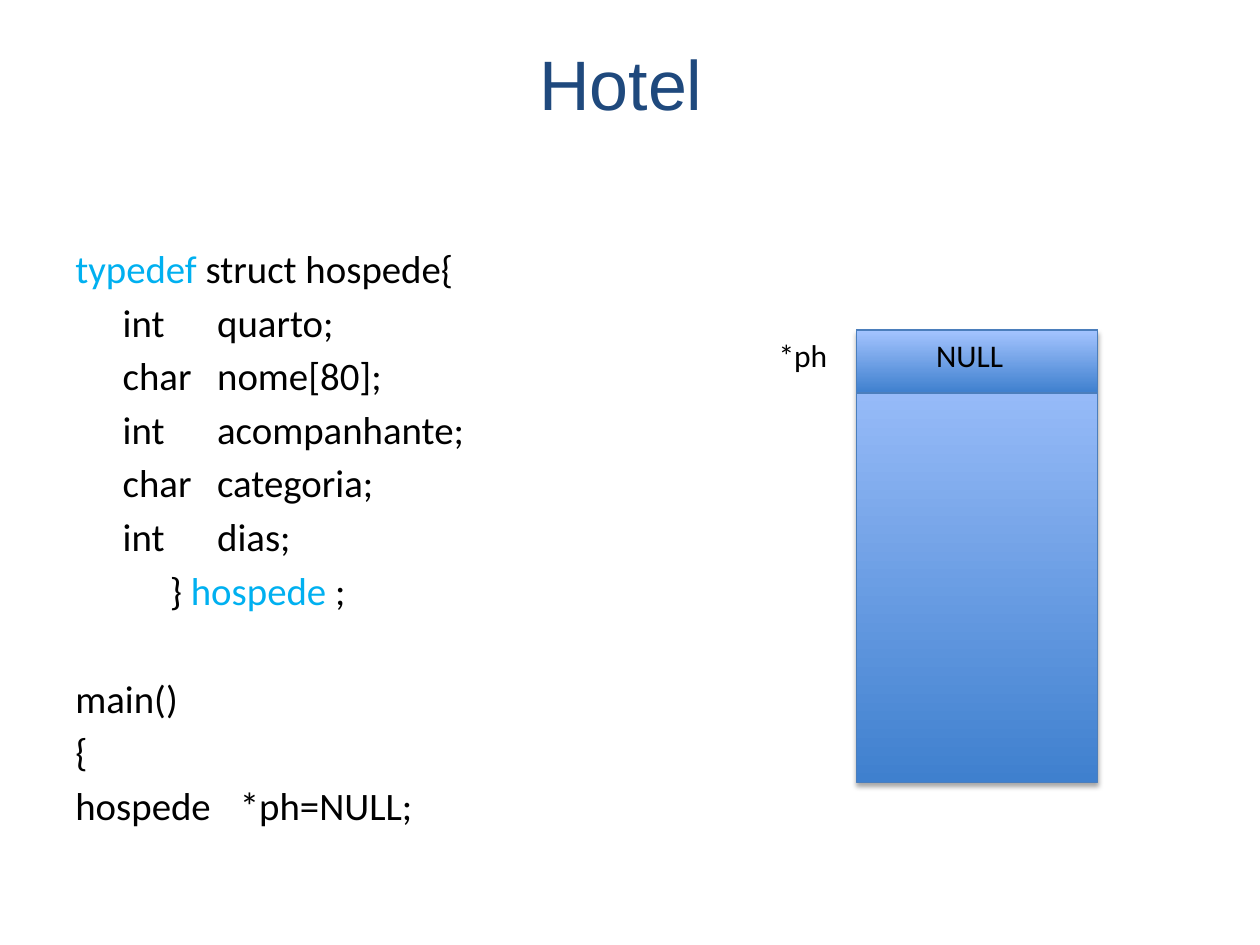
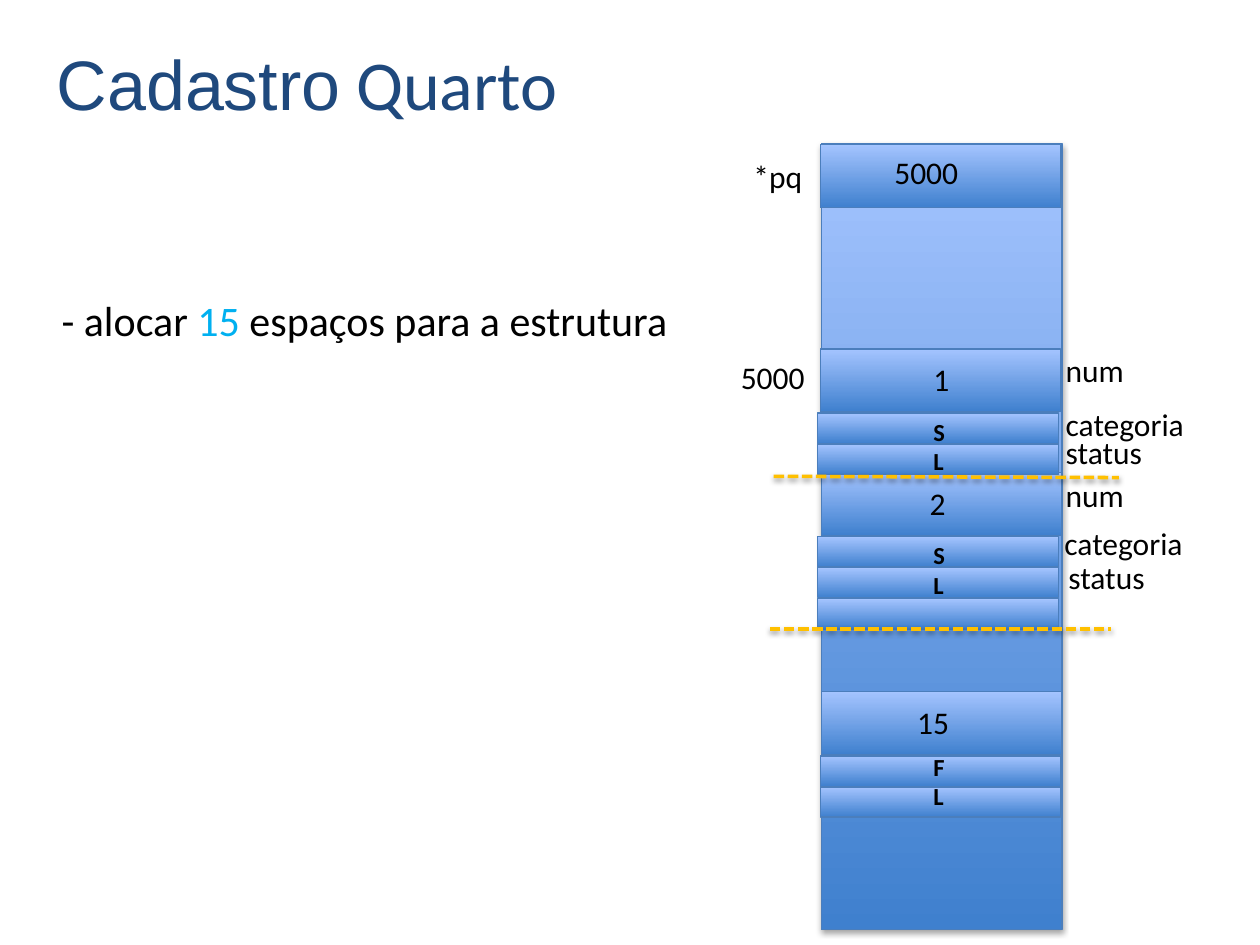
from lxml import etree
from pptx import Presentation
from pptx.dml.color import RGBColor
from pptx.enum.dml import MSO_LINE
from pptx.enum.shapes import MSO_CONNECTOR, MSO_SHAPE
from pptx.enum.text import MSO_ANCHOR, PP_ALIGN
from pptx.oxml.ns import qn
from pptx.util import Pt

LEFT, CENTER, MIDDLE = PP_ALIGN.LEFT, PP_ALIGN.CENTER, MSO_ANCHOR.MIDDLE
RECT, STRAIGHT, DASH = MSO_SHAPE.RECTANGLE, MSO_CONNECTOR.STRAIGHT, MSO_LINE.SQUARE_DOT

BLACK, CYAN, NAVY, AMBER = "000000", "00B0F0", "1F497D", "FFC000"
CELL_DARK, CELL_LIGHT, CELL_EDGE = "3F80CE", "A4C4FF", "4B7EBC"

TITLE_BOX = (25.2, 2.2, 670.3, 90)
TITLE = {"size": 40, "name": "Arial", "color": NAVY}
CODE = {"size": 22.2}
BULLET = {"size": 24}
LABEL = {"size": 18}
FLAG = {"size": 14, "bold": True}
ACCENT = {"color": CYAN}

CELL_W, TALL_H, THIN_H = 137.5, 36, 17.3
THIN_START, THIN_STEP = 36.7, 17.7
LABEL_H, FLAGS_H, FLAGS_X = 28.8, 41, 526.3

FIELD_STOPS = (27, 81)
FIELDS = [("int", "quarto"), ("char", "nome[80]"), ("int", "acompanhante"),
          ("char", "categoria"), ("int", "dias")]
CODE_LINES = [
    (0, (), [("typedef ", ACCENT), ("struct hospede{", {})]),
    *[(4, FIELD_STOPS, [(f"\t{kind} \t{name};", {})]) for kind, name in FIELDS],
    (4, (54,), [("\t} ", {}), ("hospede", ACCENT), (" ;", {})]),
    (35.1, (), [("main()", {})]),
    (4, (), [("{", {})]),
    (4, (94,), [("hospede\t*ph=NULL;", {})]),
]
TASK = [(0, (), [("- alocar ", {}), ("15", ACCENT),
                 (" espaços para a estrutura", {})])]

HOTEL_MEMORY = (489.6, 188.6, 258.5)
HOTEL_LABELS = [("*ph", 437.8, 188.6, 59.8), ("NULL", 527.8, 188.6, 91.4)]

ROOM_MEMORY = (469.4, 82.1, 449.3)
POINTER_CELL = (468.7, 82.8)
ROOM_LABELS = [
    ("*pq", 423.4, 86.4, 73.4), ("5000", 504, 84.2, 91.4), ("5000", 416.2, 200.9, 90),
    ("num", 601.9, 197.3, 105.1), ("categoria", 601.9, 228.2, 105.1),
    ("status", 601.9, 244.1, 105.1), ("num", 601.9, 268.6, 105.1),
    ("categoria", 601.2, 295.9, 105.1), ("status", 603.4, 315.4, 105.1),
]
ROOMS = [
    {"number": "1", "x": 468.7, "y": 199.4, "number_x": 526.3, "thin_x": 467.3,
     "thin": 2, "flags": "SL", "flags_y": 234.7},
    {"number": "2", "x": 469.4, "y": 270, "number_x": 524.2, "thin_x": 467.3,
     "thin": 3, "flags": "SL", "flags_y": 305.3},
    {"number": "15", "x": 469.4, "y": 395.3, "number_x": 517, "thin_x": 468.7,
     "thin": 2, "flags": "FL", "flags_y": 426.2},
]
DIVIDERS = [(442.1, 272.2, 639.4, 272.9), (439.9, 359.3, 635, 359.3)]


def rgb(color):
    return RGBColor.from_string(color)


def points(values):
    return [Pt(v) for v in values]


def add_run(p, text, size, color=BLACK, name="Calibri", bold=False):
    r = p.add_run()
    r.text = text
    for key, value in {"size": Pt(size), "name": name, "bold": bold}.items():
        setattr(r.font, key, value)
    r.font.color.rgb = rgb(color)


def add_title(s, runs, align):
    sp = s.shapes.title
    sp.left, sp.top, sp.width, sp.height = points(TITLE_BOX)
    sp.text_frame.vertical_anchor = MIDDLE
    p = sp.text_frame.paragraphs[0]
    p.alignment = align
    for text, style in runs:
        add_run(p, text, **{**TITLE, **style})


def add_text(s, box, lines, style, margin_top=3.6):
    tf = s.shapes.add_textbox(*points(box)).text_frame
    tf.word_wrap = True
    tf.margin_top = Pt(margin_top)
    for i, (before, stops, runs) in enumerate(lines):
        p = tf.add_paragraph() if i else tf.paragraphs[0]
        p.space_before = Pt(before)
        if stops:
            tabs = etree.SubElement(p._p.get_or_add_pPr(), qn("a:tabLst"))
            for stop in stops:
                etree.SubElement(tabs, qn("a:tab"), pos=str(int(Pt(stop))), algn="l")
        for text, extra in runs:
            add_run(p, text, **{**style, **extra})


def add_labels(s, labels):
    for text, x, y, w in labels:
        add_text(s, (x, y, w, LABEL_H), [(0, (), [(text, {})])], LABEL)


def set_shadow(sp, alpha=0, dist=0):
    effects = etree.SubElement(sp._element.spPr, qn("a:effectLst"))
    if alpha:
        shadow = etree.SubElement(effects, qn("a:outerShdw"), blurRad=str(int(Pt(3.1))),
                                  dist=str(int(Pt(dist))), dir="5400000", rotWithShape="0")
        color = etree.SubElement(shadow, qn("a:srgbClr"), val=BLACK)
        etree.SubElement(color, qn("a:alpha"), val=str(alpha * 1000))


def add_cell(s, x, y, h, alpha=0):
    sp = s.shapes.add_shape(RECT, *points((x, y, CELL_W, h)))
    sp.fill.gradient()
    sp.fill.gradient_angle = 90
    for stop, position, color in zip(sp.fill.gradient_stops, (0, 1), (CELL_DARK, CELL_LIGHT)):
        stop.position = position
        stop.color.rgb = rgb(color)
    sp.line.color.rgb = rgb(CELL_EDGE)
    sp.line.width = Pt(0.75)
    set_shadow(sp, alpha, 1.8)


def add_divider(s, ends):
    line = s.shapes.add_connector(STRAIGHT, *points(ends))
    line.line.color.rgb = rgb(AMBER)
    line.line.width = Pt(2)
    line.line.dash_style = DASH
    set_shadow(line, 38, 1.6)


def build_hotel(s):
    add_title(s, [("Hotel ", {})], CENTER)
    add_text(s, (36, 105.1, 648, 367.9), CODE_LINES, CODE, margin_top=34.7)
    x, y, h = HOTEL_MEMORY
    add_cell(s, x, y, h, alpha=35)
    add_cell(s, x, y, TALL_H)
    add_labels(s, HOTEL_LABELS)


def build_rooms(s):
    add_title(s, [("Cadastro", {}), (" Quarto", {"name": "Calibri"})], LEFT)
    add_text(s, (28.1, 67, 648, 433.4), TASK, BULLET, margin_top=101)
    add_cell(s, *ROOM_MEMORY, alpha=35)
    add_cell(s, *POINTER_CELL, TALL_H)
    for room in reversed(ROOMS):
        y = room["y"]
        add_cell(s, room["x"], y, TALL_H)
        for i in range(room["thin"]):
            add_cell(s, room["thin_x"], y + THIN_START + i * THIN_STEP, THIN_H)
        add_labels(s, [(room["number"], room["number_x"], y + 2.9, 41)])
        flags = [(0, (), [(flag, {})]) for flag in room["flags"]]
        add_text(s, (FLAGS_X, room["flags_y"], 28.1, FLAGS_H), flags, FLAG)
    add_labels(s, ROOM_LABELS)
    for ends in DIVIDERS:
        add_divider(s, ends)


def main():
    """Build the hotel memory-diagram slides."""
    prs = Presentation()
    prs.slide_width, prs.slide_height = Pt(720), Pt(540)
    for build in (build_hotel, build_rooms):
        build(prs.slides.add_slide(prs.slide_layouts[5]))
    prs.save("out.pptx")


if __name__ == "__main__":
    main()
